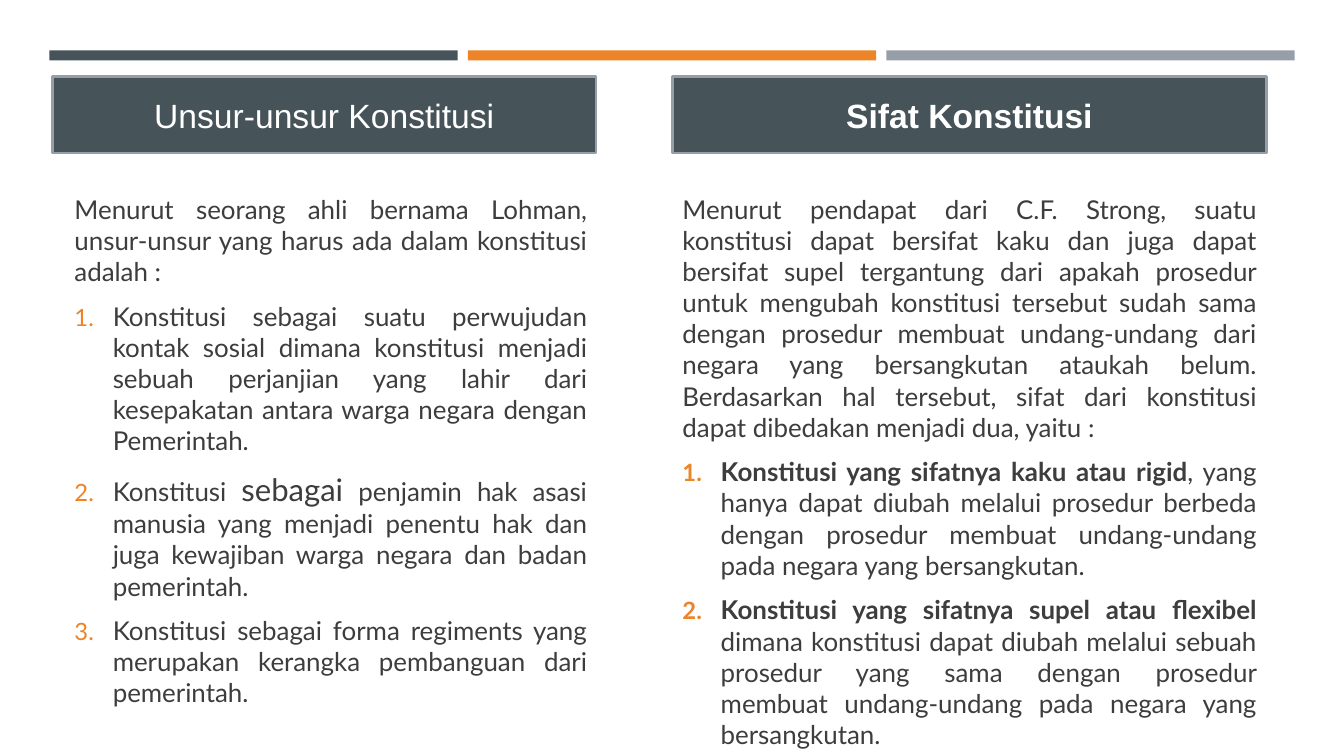
from lxml import etree
from pptx import Presentation
from pptx.dml.color import RGBColor
from pptx.enum.shapes import MSO_SHAPE
from pptx.enum.text import MSO_ANCHOR, PP_ALIGN
from pptx.oxml.ns import qn
from pptx.util import Inches, Pt

RECTANGLE = MSO_SHAPE.RECTANGLE
MIDDLE = MSO_ANCHOR.MIDDLE
CENTER = PP_ALIGN.CENTER
JUSTIFY = PP_ALIGN.JUSTIFY

SLATE, ORANGE, GRAY = "465359", "ED8428", "969FA7"
WHITE, BODY_COLOR = "FFFFFF", "3D3D3D"
BODY_SIZE, LARGE_SIZE = 18.5, 22.2
INDENT = Inches(0.38)

BAR_COLORS = [SLATE, ORANGE, GRAY]
BAR_LEFT, BAR_TOP, BAR_WIDTH, BAR_HEIGHT, BAR_STEP = 0.49, 0.5, 4.05, 0.1, 4.15

COLUMNS = [
    {
        "heading": "Unsur-unsur Konstitusi",
        "heading_bold": False,
        "heading_area": (0.52, 0.76, 5.39, 0.76),
        "body_area": (0.64, 1.87, 5.28, 4.87),
        "intro": "Menurut seorang ahli bernama Lohman, unsur-unsur yang harus ada "
                 "dalam konstitusi adalah :",
        "items": [
            [("Konstitusi sebagai suatu perwujudan kontak sosial dimana konstitusi "
              "menjadi sebuah perjanjian yang lahir dari kesepakatan antara warga "
              "negara dengan Pemerintah.", BODY_SIZE, False)],
            [("Konstitusi ", BODY_SIZE, False),
             ("sebagai", LARGE_SIZE, False),
             (" penjamin hak asasi manusia yang menjadi penentu hak dan juga "
              "kewajiban warga negara dan badan pemerintah.", BODY_SIZE, False)],
            [("Konstitusi sebagai forma regiments yang merupakan kerangka "
              "pembanguan dari pemerintah.", BODY_SIZE, False)],
        ],
    },
    {
        "heading": "Sifat Konstitusi",
        "heading_bold": True,
        "heading_area": (6.67, 0.76, 5.89, 0.76),
        "body_area": (6.67, 1.87, 5.89, 5.24),
        "intro": "Menurut pendapat dari C.F. Strong, suatu konstitusi dapat bersifat "
                 "kaku dan juga dapat bersifat supel tergantung dari apakah prosedur "
                 "untuk mengubah konstitusi tersebut sudah sama dengan prosedur membuat "
                 "undang-undang dari negara yang bersangkutan ataukah belum. "
                 "Berdasarkan hal tersebut, sifat dari konstitusi dapat dibedakan "
                 "menjadi dua, yaitu :",
        "items": [
            [("Konstitusi yang sifatnya kaku atau rigid", BODY_SIZE, True),
             (", yang hanya dapat diubah melalui prosedur berbeda dengan prosedur "
              "membuat undang-undang pada negara yang bersangkutan.",
              BODY_SIZE, False)],
            [("Konstitusi yang sifatnya supel atau flexibel ", BODY_SIZE, True),
             ("dimana konstitusi dapat diubah melalui sebuah prosedur yang sama "
              "dengan prosedur membuat undang-undang pada negara yang bersangkutan.",
              BODY_SIZE, False)],
        ],
    },
]


def color(value):
    return RGBColor.from_string(value)


def format_span(span, font, size, value, bold):
    span.font.name = font
    span.font.size = Pt(size)
    span.font.color.rgb = color(value)
    span.font.bold = bold


def add_box(page, area, fill):
    box = page.shapes.add_shape(RECTANGLE, *map(Inches, area))
    box.shadow.inherit = False
    box.fill.solid()
    box.fill.fore_color.rgb = color(fill)
    box.line.fill.background()
    return box


def add_heading(page, column):
    box = add_box(page, column["heading_area"], SLATE)
    box.line.color.rgb = color(GRAY)
    box.line.width = Pt(1.75)
    box.text_frame.text = column["heading"]
    box.text_frame.vertical_anchor = MIDDLE
    para = box.text_frame.paragraphs[0]
    para.alignment = CENTER
    format_span(para.runs[0], "Arial", 24, WHITE, column["heading_bold"])


def add_number(para):
    properties = para._p.get_or_add_pPr()
    properties.set("marL", str(INDENT))
    properties.set("indent", str(-INDENT))
    bullet_color = etree.SubElement(properties, qn("a:buClr"))
    etree.SubElement(bullet_color, qn("a:srgbClr"), val=ORANGE)
    etree.SubElement(properties, qn("a:buSzPct"), val="92000")
    etree.SubElement(properties, qn("a:buFont"), typeface="+mj-lt")
    etree.SubElement(properties, qn("a:buAutoNum"), type="arabicPeriod")


def add_body(page, column):
    frame = page.shapes.add_textbox(*map(Inches, column["body_area"])).text_frame
    frame.word_wrap = True
    paragraphs = [[(column["intro"], BODY_SIZE, False)]] + column["items"]
    for index, spans in enumerate(paragraphs):
        para = frame.add_paragraph() if index else frame.paragraphs[0]
        para.alignment = JUSTIFY
        para.space_before = Pt(0.2 * max(size for _, size, _ in spans))
        para.space_after = Pt(6)
        if index:
            add_number(para)
        for text, size, bold in spans:
            span = para.add_run()
            span.text = text
            format_span(span, "Lato", size, BODY_COLOR, bold)


deck = Presentation()
deck.slide_width = Inches(13.33)
deck.slide_height = Inches(7.5)
page = deck.slides.add_slide(deck.slide_layouts[6])

for index, fill in enumerate(BAR_COLORS):
    add_box(page, (BAR_LEFT + index * BAR_STEP, BAR_TOP, BAR_WIDTH, BAR_HEIGHT), fill)
for column in COLUMNS:
    add_heading(page, column)
for column in COLUMNS:
    add_body(page, column)

deck.save("out.pptx")
